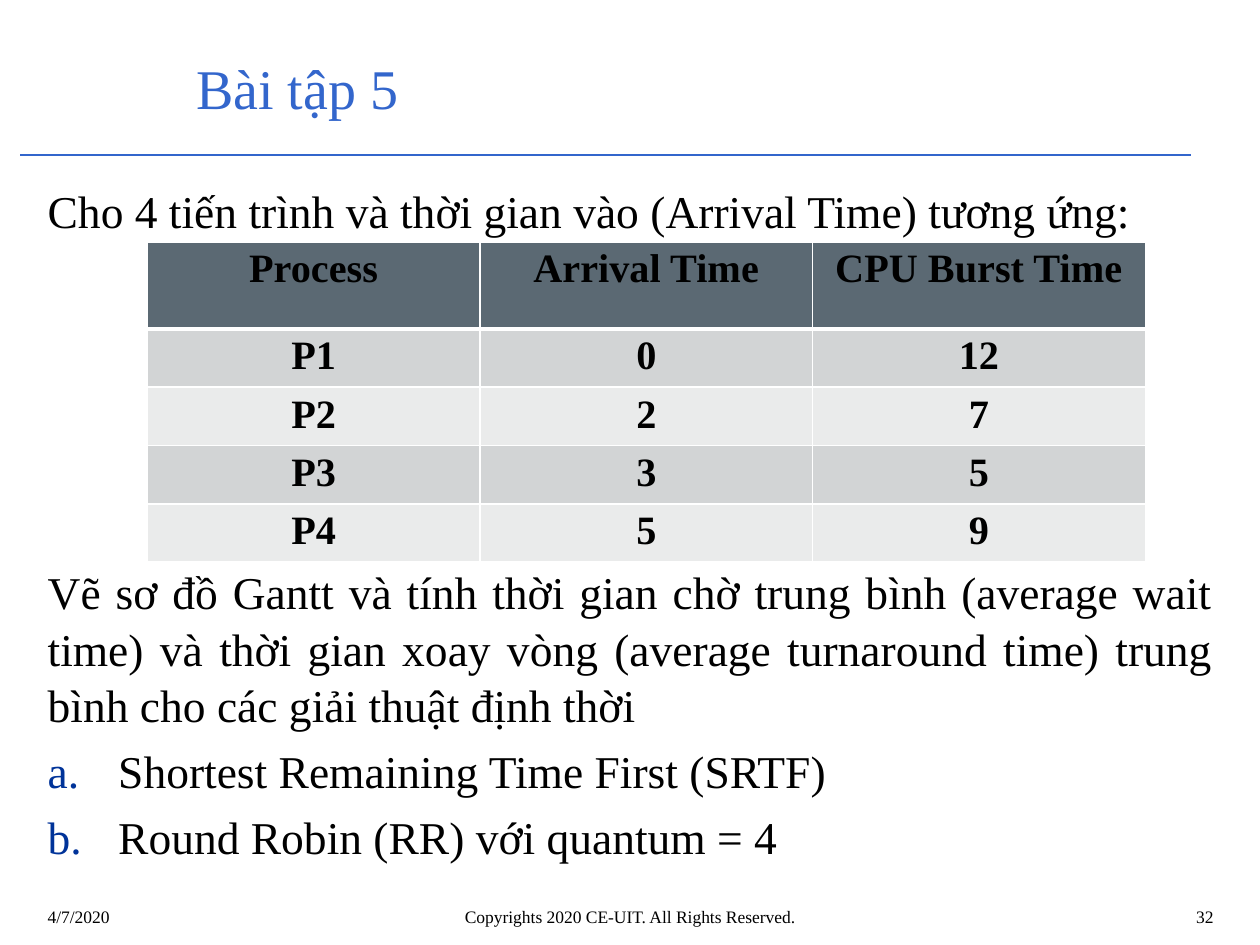
from lxml.etree import SubElement as Sub
from pptx import Presentation
from pptx.dml.color import RGBColor as RGB
from pptx.enum.shapes import MSO_CONNECTOR as LINE
from pptx.enum.text import MSO_ANCHOR as ANCHOR, PP_ALIGN as ALIGN
from pptx.oxml.ns import qn
from pptx.util import Inches, Pt

HUES = {"blue": "3366CC", "black": "000000", "mark": "003399", "white": "FFFFFF",
        "head": "5B6973", "odd": "D2D4D5", "even": "EAEBEB"}


def style(para, size, align, hue="black", bold=False):
    para.alignment = align
    para.font.name = "Times New Roman"
    para.font.size = Pt(size)
    para.font.bold = bold
    para.font.color.rgb = RGB.from_string(HUES[hue])


def add_text(spot, text, size, align, hue="black", anchor=ANCHOR.TOP):
    box = slide.shapes.add_textbox(*[Inches(n) for n in spot])
    frame = box.text_frame
    frame.word_wrap = True
    frame.vertical_anchor = anchor
    frame.text = text
    for para in frame.paragraphs:
        style(para, size, align, hue)
    return frame.paragraphs


deck = Presentation()
deck.slide_width, deck.slide_height = Inches(10), Inches(7.5)
slide = deck.slides.add_slide(deck.slide_layouts[6])

rule = slide.shapes.add_connector(LINE.STRAIGHT, Inches(0.16), Inches(1.23),
                                  Inches(9.45), Inches(1.23))
rule.line.color.rgb = RGB.from_string(HUES["blue"])
rule.line.width = Pt(0.75)
Sub(rule._element.spPr, qn("a:effectLst"))

add_text((1.46, 0.31, 8.04, 0.76), "Bài tập 5", 32, ALIGN.LEFT, "blue", ANCHOR.MIDDLE)

intro = add_text((0.28, 1.39, 9.45, 0.53),
                 "Cho 4 tiến trình và thời gian vào (Arrival Time) tương ứng:",
                 26, ALIGN.JUSTIFY)
task = add_text((0.28, 4.41, 9.45, 2.6),
                "Vẽ sơ đồ Gantt và tính thời gian chờ trung bình (average wait time) "
                "và thời gian xoay vòng (average turnaround time) trung bình "
                "cho các giải thuật định thời\n"
                "Shortest Remaining Time First (SRTF)\n"
                "Round Robin (RR) với quantum = 4", 26, ALIGN.JUSTIFY)
for para in (*intro, *task):
    para.line_spacing = 1.04
for para in task[1:]:
    props = para._p.get_or_add_pPr()
    props.set("marL", str(Inches(0.56)))
    props.set("indent", str(-Inches(0.56)))
    font = props.find(qn("a:defRPr"))
    hue = Sub(props, qn("a:buClr"))
    Sub(hue, qn("a:srgbClr"), val=HUES["mark"])
    Sub(props, qn("a:buAutoNum"), type="alphaLcPeriod")
    if font is not None:
        props.append(font)
    para.space_before = Pt(5.2)

for left, width, text, align in [
    (0.28, 2.33, "4/7/2020", ALIGN.LEFT),
    (1.93, 6.14, "Copyrights 2020 CE-UIT. All Rights Reserved.", ALIGN.CENTER),
    (7.81, 1.92, "32", ALIGN.RIGHT),
]:
    add_text((left, 7.14, width, 0.32), text, 10, align)

rows = [("Process", "Arrival Time", "CPU Burst Time"),
        ("P1", "0", "12"), ("P2", "2", "7"), ("P3", "3", "5"), ("P4", "5", "9")]
grid = slide.shapes.add_table(5, 3, Inches(1.17), Inches(1.92),
                              Inches(7.92), Inches(2.49)).table
for i, row in enumerate(rows):
    grid.rows[i].height = Inches(0.45 if i else 0.69)
    tone = ("odd" if i % 2 else "even") if i else "head"
    for j, text in enumerate(row):
        cell = grid.cell(i, j)
        cell.text = text
        cell.margin_top = cell.margin_bottom = Inches(0.04)
        style(cell.text_frame.paragraphs[0], 23, ALIGN.CENTER, bold=True)
        props = cell._tc.get_or_add_tcPr()
        for side in "LRTB":
            thick = 3 if (i, side) in ((0, "B"), (1, "T")) else 1
            edge = Sub(props, qn("a:ln" + side), w=str(Pt(thick)))
            Sub(Sub(edge, qn("a:solidFill")), qn("a:srgbClr"), val=HUES["white"])
        cell.fill.solid()
        cell.fill.fore_color.rgb = RGB.from_string(HUES[tone])

deck.save("out.pptx")
